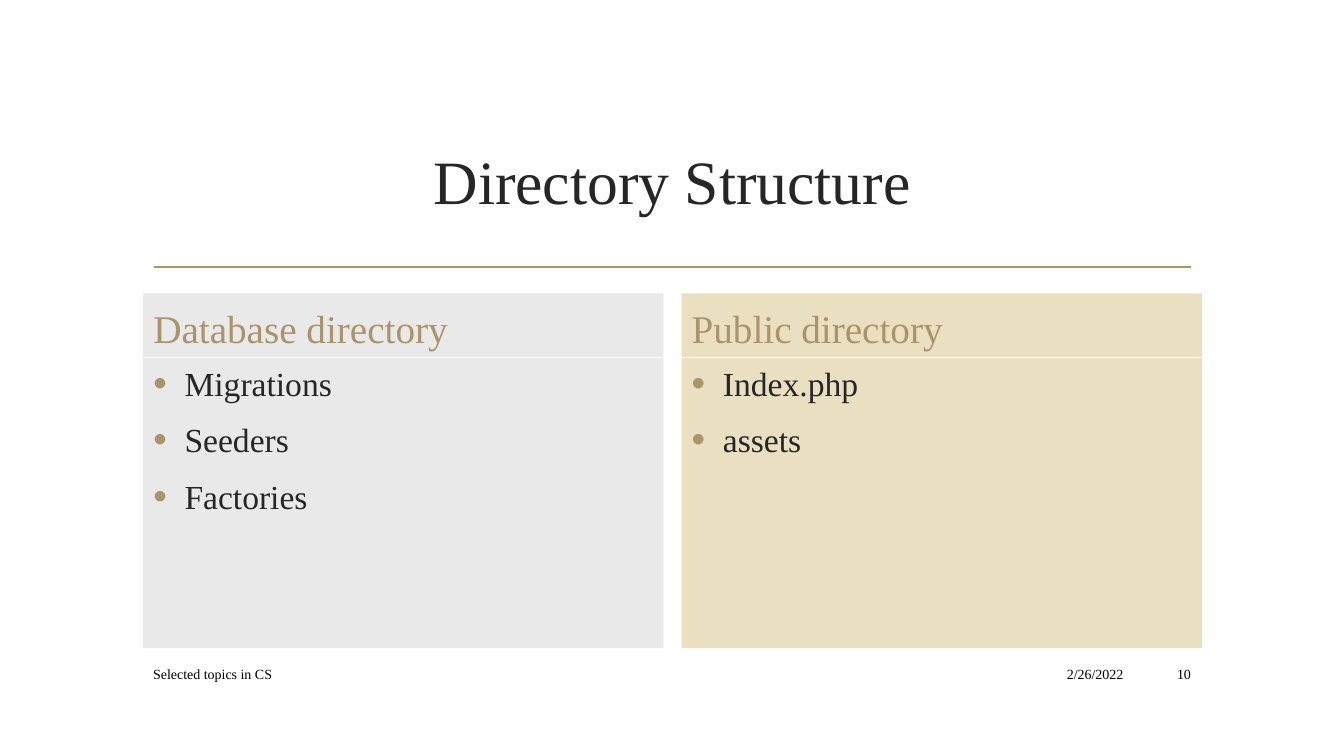
from dataclasses import dataclass

from lxml import etree
from pptx import Presentation
from pptx.dml.color import RGBColor
from pptx.enum.shapes import MSO_CONNECTOR
from pptx.enum.text import MSO_ANCHOR, MSO_AUTO_SIZE, PP_ALIGN
from pptx.oxml.ns import qn
from pptx.shapes.base import BaseShape
from pptx.slide import Slide
from pptx.util import Inches, Pt

TOP, MIDDLE, BOTTOM = MSO_ANCHOR.TOP, MSO_ANCHOR.MIDDLE, MSO_ANCHOR.BOTTOM
LEFT, CENTER, RIGHT = PP_ALIGN.LEFT, PP_ALIGN.CENTER, PP_ALIGN.RIGHT
STRAIGHT = MSO_CONNECTOR.STRAIGHT
NO_AUTOFIT = MSO_AUTO_SIZE.NONE

GOLD = RGBColor(0xAB, 0x94, 0x6B)
DARK = RGBColor(0x26, 0x26, 0x26)
BLACK = RGBColor(0, 0, 0)
GREY_PANEL = RGBColor(0xE9, 0xE9, 0xE9)
SAND_PANEL = RGBColor(0xEA, 0xDF, 0xC0)
FONT = "Times New Roman"

COMPARISON_LAYOUT = 4
MARGIN = 1.42
COLUMN_WIDTH = 5.16
COLUMN_STEP = 5.34
BULLET_INDENT = Inches(0.31)


@dataclass
class Column:
    heading: str
    items: list[str]
    fill: RGBColor


@dataclass
class FooterText:
    text: str
    left: float
    width: float
    alignment: PP_ALIGN


COLUMNS = [
    Column("Database directory", ["Migrations", "Seeders", "Factories"], GREY_PANEL),
    Column("Public directory", ["Index.php", "assets"], SAND_PANEL),
]
FOOTER = [
    FooterText("2/26/2022", 9.49, 1.75, RIGHT),
    FooterText("10", 11.32, 0.59, RIGHT),
    FooterText("Selected topics in CS", MARGIN, 7.99, LEFT),
]


def place(shape: BaseShape, left: float, top: float, width: float, height: float) -> None:
    shape.left, shape.top = Inches(left), Inches(top)
    shape.width, shape.height = Inches(width), Inches(height)


def write(shape: BaseShape, lines: list[str], size: float, color: RGBColor,
          alignment: PP_ALIGN, anchor: MSO_ANCHOR, space_after: float = 0,
          bulleted: bool = False) -> None:
    """Fill a shape with one evenly formatted paragraph per line."""
    frame = shape.text_frame
    frame.text = "\n".join(lines)
    frame.word_wrap = True
    frame.auto_size = NO_AUTOFIT
    frame.vertical_anchor = anchor
    for index, paragraph in enumerate(frame.paragraphs):
        if bulleted:
            add_bullet(paragraph)
        paragraph.alignment = alignment
        paragraph.space_before = Pt(5.5 if index else 0)
        paragraph.space_after = Pt(space_after)
        font = paragraph.font
        font.name, font.size, font.bold = FONT, Pt(size), False
        font.color.rgb = color


def add_bullet(paragraph) -> None:
    properties = paragraph._p.get_or_add_pPr()
    properties.set("marL", str(BULLET_INDENT))
    properties.set("indent", str(-BULLET_INDENT))
    color = etree.SubElement(properties, qn("a:buClr"))
    etree.SubElement(color, qn("a:srgbClr"), val=str(GOLD))
    etree.SubElement(properties, qn("a:buSzPct"), val="115000")
    etree.SubElement(properties, qn("a:buFont"), typeface="Arial")
    etree.SubElement(properties, qn("a:buChar"), char="•")


def add_title_rule(slide: Slide) -> None:
    rule = slide.shapes.add_connector(
        STRAIGHT, Inches(1.53), Inches(2.65), Inches(11.81), Inches(2.65))
    rule.line.color.rgb = GOLD
    rule.line.width = Pt(1.25)
    etree.SubElement(rule._element.spPr, qn("a:effectLst"))


def fill_column(slide: Slide, index: int, column: Column) -> None:
    left = MARGIN + index * COLUMN_STEP
    heading, body = list(slide.placeholders)[1 + 2 * index:3 + 2 * index]
    place(heading, left, 2.91, COLUMN_WIDTH, 0.63)
    place(body, left, 3.55, COLUMN_WIDTH, 2.88)
    for panel in (heading, body):
        panel.fill.solid()
        panel.fill.fore_color.rgb = column.fill
    write(heading, [column.heading], 28, GOLD, LEFT, BOTTOM, space_after=6)
    write(body, column.items, 24, DARK, LEFT, TOP, space_after=6, bulleted=True)


def add_footer_text(slide: Slide, footer: FooterText) -> None:
    box = slide.shapes.add_textbox(
        Inches(footer.left), Inches(6.53), Inches(footer.width), Inches(0.31))
    write(box, [footer.text], 10, BLACK, footer.alignment, MIDDLE)


def main() -> None:
    presentation = Presentation()
    presentation.slide_width = Inches(13.33)
    presentation.slide_height = Inches(7.5)
    slide = presentation.slides.add_slide(presentation.slide_layouts[COMPARISON_LAYOUT])
    add_title_rule(slide)
    title = slide.shapes.title
    place(title, MARGIN, 1.07, 10.5, 1.43)
    write(title, ["Directory Structure"], 44, DARK, CENTER, MIDDLE)
    for index, column in enumerate(COLUMNS):
        fill_column(slide, index, column)
    for footer in FOOTER:
        add_footer_text(slide, footer)
    presentation.save("out.pptx")


if __name__ == "__main__":
    main()
